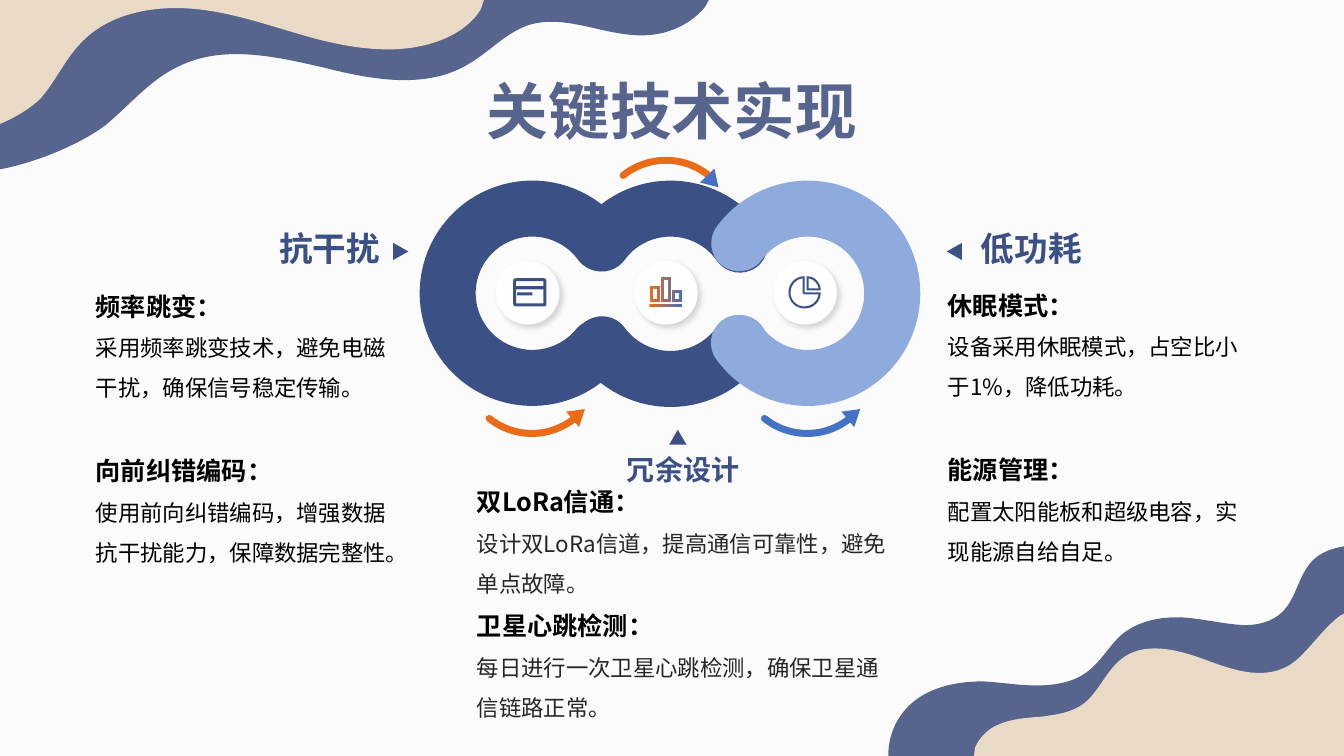
from lxml.etree import SubElement
from pptx import Presentation
from pptx.dml.color import RGBColor
from pptx.enum.shapes import MSO_SHAPE as SHAPE
from pptx.enum.text import MSO_ANCHOR as ANCHOR, PP_ALIGN as ALIGN
from pptx.oxml.ns import qn
from pptx.util import Inches, Pt

PAPER = RGBColor(0xFC, 0xFB, 0xFC)
SLATE = RGBColor(0x57, 0x65, 0x8E)
SAND = RGBColor(0xE9, 0xDA, 0xC6)
NAVY = RGBColor(0x3B, 0x50, 0x85)
SKY = RGBColor(0x8F, 0xAA, 0xDC)
BLUE = RGBColor(0x44, 0x72, 0xC4)
ORANGE = RGBColor(0xEB, 0x6C, 0x17)
WHITE = RGBColor(0xFF, 0xFF, 0xFF)
BLACK = RGBColor(0, 0, 0)
INK = RGBColor(0x26, 0x26, 0x26)

WAVES = [
    ("M 0 0 L 7.03 0 L 7 0.06 C 6.86 0.24 6.63 0.34 6.41 0.35 C 6.01 0.37 5.62 0.13 5.24 0.25 "
     "C 5.01 0.33 4.85 0.52 4.64 0.64 C 4.22 0.89 3.68 0.79 3.21 0.67 C 2.73 0.56 2.21 0.44 1.77 0.66 "
     "C 1.49 0.79 1.29 1.04 1.05 1.24 C 0.84 1.4 0.42 1.6 0 1.68 Z", SLATE),
    ("M 0 0 L 4.8 0 L 4.77 0.09 C 4.69 0.23 4.53 0.34 4.37 0.4 C 3.98 0.55 3.55 0.49 3.15 0.39 "
     "C 2.74 0.28 2.35 0.13 1.94 0.09 C 1.53 0.05 1.07 0.13 0.79 0.44 C 0.64 0.6 0.55 0.81 0.4 0.98 "
     "C 0.32 1.06 0.17 1.16 0 1.23 Z", SAND),
    ("M 13.33 5.42 L 13.33 7.5 L 8.81 7.5 C 8.81 7.28 8.9 7.1 9.05 6.97 C 9.24 6.81 9.5 6.76 9.75 6.76 "
     "C 9.93 6.77 10.1 6.8 10.28 6.8 C 10.46 6.8 10.65 6.77 10.79 6.66 C 10.92 6.56 11 6.41 11.12 6.3 "
     "C 11.32 6.13 11.61 6.1 11.87 6.14 C 12.02 6.16 12.16 6.19 12.31 6.2 C 12.46 6.21 12.62 6.17 12.72 6.07 "
     "C 12.86 5.93 12.88 5.7 13.02 5.56 C 13.1 5.48 13.21 5.44 13.33 5.42 Z", SLATE),
    ("M 13.33 6.09 L 13.33 7.5 L 9.66 7.5 L 9.67 7.42 C 9.71 7.32 9.8 7.23 9.9 7.19 "
     "C 10.03 7.13 10.19 7.12 10.33 7.11 C 10.48 7.09 10.63 7.07 10.75 6.98 C 10.9 6.86 10.97 6.66 11.12 6.54 "
     "C 11.34 6.36 11.67 6.44 11.94 6.54 C 12.21 6.64 12.51 6.75 12.77 6.61 C 12.94 6.52 13.1 6.25 13.29 6.11 Z",
     SAND),
]
PIE = ("M 7.98 2.74 L 7.98 2.9 L 8.14 2.9 C 8.14 2.99 8.07 3.06 7.98 3.06 C 7.89 3.06 7.82 2.99 7.82 2.9 "
       "C 7.82 2.81 7.89 2.74 7.98 2.74 Z M 7.96 2.76 C 7.89 2.77 7.84 2.83 7.84 2.9 "
       "C 7.84 2.98 7.9 3.04 7.98 3.04 C 8.05 3.04 8.11 2.99 8.12 2.92 L 7.98 2.92 C 7.97 2.92 7.96 2.91 7.96 2.9 Z "
       "M 8 2.74 C 8.08 2.74 8.14 2.8 8.14 2.88 L 8 2.88 Z M 8.02 2.76 L 8.02 2.86 L 8.12 2.86 "
       "C 8.11 2.81 8.07 2.77 8.02 2.76 Z ")


def rect(x, y, w, h):
    """Return the outline of a rectangle."""
    return f"M {x} {y} L {x + w} {y} L {x + w} {y + h} L {x} {y + h} Z "


def rounded(x, y, w, h, c):
    """Return the outline of a rectangle with rounded corners."""
    r, b = x + w, y + h
    return (f"M {x + c} {y} L {r - c} {y} C {r} {y} {r} {y} {r} {y + c} L {r} {b - c} C {r} {b} {r} {b} {r - c} {b} "
            f"L {x + c} {b} C {x} {b} {x} {b} {x} {b - c} L {x} {y + c} C {x} {y} {x} {y} {x + c} {y} Z ")


class Deck:
    """Holds the style and the current slide."""

    font = "Noto Sans CJK SC"

    def __init__(self, prs):
        self.s = prs.slides.add_slide(prs.slide_layouts[5])
        self.s.background.fill.solid()
        self.s.background.fill.fore_color.rgb = PAPER

    def paint(self, sp, fill):
        sp.shadow.inherit = False
        sp.line.fill.background()
        if fill is None:
            sp.fill.background()
        else:
            sp.fill.solid()
            sp.fill.fore_color.rgb = fill
        return sp

    def shape(self, kind, x, y, w, h, fill=None, rot=0, flip=""):
        sp = self.s.shapes.add_shape(kind, Inches(x), Inches(y), Inches(w), Inches(h))
        sp.rotation = rot
        for axis in flip:
            sp.element.spPr.find(qn("a:xfrm")).set("flip" + axis, "1")
        return self.paint(sp, fill)

    def arc(self, x, y, size, color, width, angles, rot, flip=""):
        sp = self.shape(SHAPE.ARC, x, y, size, size, None, rot, flip)
        for i, angle in enumerate(angles):
            sp.adjustments[i] = angle
        sp.line.color.rgb = color
        sp.line.width = Pt(width)
        sp.element.spPr.find(qn("a:ln")).set("cap", "rnd")

    def free(self, text, fill):
        fb = None
        for loop in text.split("Z")[:-1]:
            v = [Inches(float(t)) for t in loop.split() if t not in "MLC"]
            start, *points = zip(v[::2], v[1::2])
            if fb is None:
                fb = self.s.shapes.build_freeform(*start, scale=1.0)
            else:
                fb.move_to(*start)
            fb.add_line_segments(points, close=True)
        sp = fb.convert_to_shape()
        lines = iter(list(sp.element.iter(qn("a:lnTo"))))
        for command in text.split():
            if command in "LC":
                segment = next(lines)
            if command == "C":
                segment.tag = qn("a:cubicBezTo")
                for _ in range(2):
                    extra = next(lines)
                    segment.append(extra[0])
                    extra.getparent().remove(extra)
        return self.paint(sp, fill)

    def disc(self, x, y, size):
        sp = self.shape(SHAPE.OVAL, x, y, size, size, WHITE)
        effects = sp.element.spPr.find(qn("a:effectLst"))
        shadow = SubElement(effects, qn("a:outerShdw"), blurRad=str(Pt(4)), dist=str(Pt(3)), dir="2700000")
        color = SubElement(shadow, qn("a:srgbClr"), val="000000")
        SubElement(color, qn("a:alpha"), val="15000")

    def style(self, p, size, color, bold, font=None):
        p.font.size, p.font.bold, p.font.name = Pt(size), bold, font or self.font
        p.font.color.rgb = color
        SubElement(p.font._element, qn("a:ea"), typeface=font or self.font)

    def box(self, x, y, w, h, anchor):
        tf = self.s.shapes.add_textbox(Inches(x), Inches(y), Inches(w), Inches(h)).text_frame
        tf.word_wrap, tf.vertical_anchor = True, anchor
        tf.margin_left = tf.margin_right = tf.margin_top = tf.margin_bottom = 0
        return tf

    def title(self, text):
        sp = self.s.shapes.title
        sp.left, sp.top, sp.width, sp.height = Inches(4.73), Inches(0.67), Inches(3.87), Inches(0.84)
        tf = sp.text_frame
        tf.text, tf.word_wrap, tf.vertical_anchor = text, False, ANCHOR.MIDDLE
        tf.paragraphs[0].alignment = ALIGN.CENTER
        self.style(tf.paragraphs[0], 44, SLATE, True, "TeX Gyre Adventor")

    def heading(self, text, x, y, w, size, align):
        p = self.box(x, y, w, 0.58, ANCHOR.BOTTOM).paragraphs[0]
        p.text, p.alignment, p.line_spacing = text, align, 1.1
        self.style(p, size, NAVY, True)

    def body(self, x, y, w, sections, color, gap):
        tf = self.box(x, y, w, 1.08, ANCHOR.TOP)
        for i, (head, detail) in enumerate(sections):
            p = tf.add_paragraph() if i else tf.paragraphs[0]
            p.text, p.line_spacing = head, Pt(31.5)
            if i:
                p.space_before = Pt(gap)
            self.style(p, 18, BLACK, True)
            p = tf.add_paragraph()
            p.text, p.line_spacing = detail, Pt(28.6)
            self.style(p, 16, color, False)


def main():
    prs = Presentation()
    prs.slide_width, prs.slide_height = Inches(13.33), Inches(7.5)
    d = Deck(prs)
    for wave, color in WAVES:
        d.free(wave, color)
    d.title("关键技术实现")

    sweep = (162, 208)
    d.arc(5.93, 1.59, 1.35, ORANGE, 5, sweep, 321)
    d.shape(SHAPE.ISOSCELES_TRIANGLE, 6.97, 1.72, 0.2, 0.16, BLUE, 316, "V")
    for x, color in ((4.6, ORANGE), (7.33, BLUE)):
        d.arc(x, 2.95, 1.35, color, 5, sweep, 38.8, "V")
        d.shape(SHAPE.ISOSCELES_TRIANGLE, x + 1.04, 4.03, 0.2, 0.16, color, 50.1)
    for x, y, rot in ((9.38, 2.42, 270), (3.89, 2.42, 90), (6.66, 4.3, 120)):
        d.shape(SHAPE.ISOSCELES_TRIANGLE, x, y, 0.17, 0.15, NAVY, rot)

    d.arc(4.44, 2.07, 1.68, NAVY, 40, (97.98, 52.62), 307.1, "H")
    d.arc(5.81, 2.07, 1.68, NAVY, 40, (97.29, 162.69), 307.1, "H")
    d.arc(5.81, 2.08, 1.68, NAVY, 40, (97.42, 162.59), 52.9, "HV")
    d.arc(7.17, 2.07, 1.68, SKY, 40, (97.98, 54.8), 52.9)
    for x in (4.92, 6.29, 7.67):
        d.disc(x, 2.59, 0.63)

    d.free(rounded(5.09, 2.76, 0.33, 0.28, 0.05) + rect(5.12, 2.79, 0.27, 0.05)
           + rect(5.12, 2.87, 0.27, 0.14) + rect(5.13, 2.9, 0.15, 0.03), NAVY)
    bars = rect(6.44, 3.02, 0.33, 0.03)
    for x, y in ((6.45, 2.84), (6.56, 2.75), (6.67, 2.88)):
        bars += rect(x, y, 0.09, 2.99 - y) + rect(x + 0.02, y + 0.02, 0.05, 2.95 - y)
    fill = d.free(bars, ORANGE).fill
    fill.gradient()
    fill.gradient_angle = 0
    for stop, color in zip(fill.gradient_stops, (ORANGE, BLUE)):
        stop.color.rgb = color
    d.free(PIE, NAVY)

    d.heading("抗干扰", 0.48, 2.08, 3.29, 24, ALIGN.RIGHT)
    d.heading("低功耗", 9.73, 2.08, 2.96, 24, ALIGN.LEFT)
    d.heading("冗余设计", 4.92, 4.24, 3.71, 20, ALIGN.CENTER)
    d.body(0.95, 2.75, 2.95, [
        ("频率跳变：", "采用频率跳变技术，避免电磁干扰，确保信号稳定传输。"),
        ("向前纠错编码：", "使用前向纠错编码，增强数据抗干扰能力，保障数据完整性。")], BLACK, 28.6)
    d.body(9.4, 2.74, 2.95, [
        ("休眠模式：", "设备采用休眠模式，占空比小于1%，降低功耗。"),
        ("能源管理：", "配置太阳能板和超级电容，实现能源自给自足。")], BLACK, 28.6)
    d.body(4.73, 4.69, 4.21, [
        ("双LoRa信通：", "设计双LoRa信道，提高通信可靠性，避免单点故障。"),
        ("卫星心跳检测：", "每日进行一次卫星心跳检测，确保卫星通信链路正常。")], INK, 0)
    prs.save("out.pptx")


if __name__ == "__main__":
    main()
